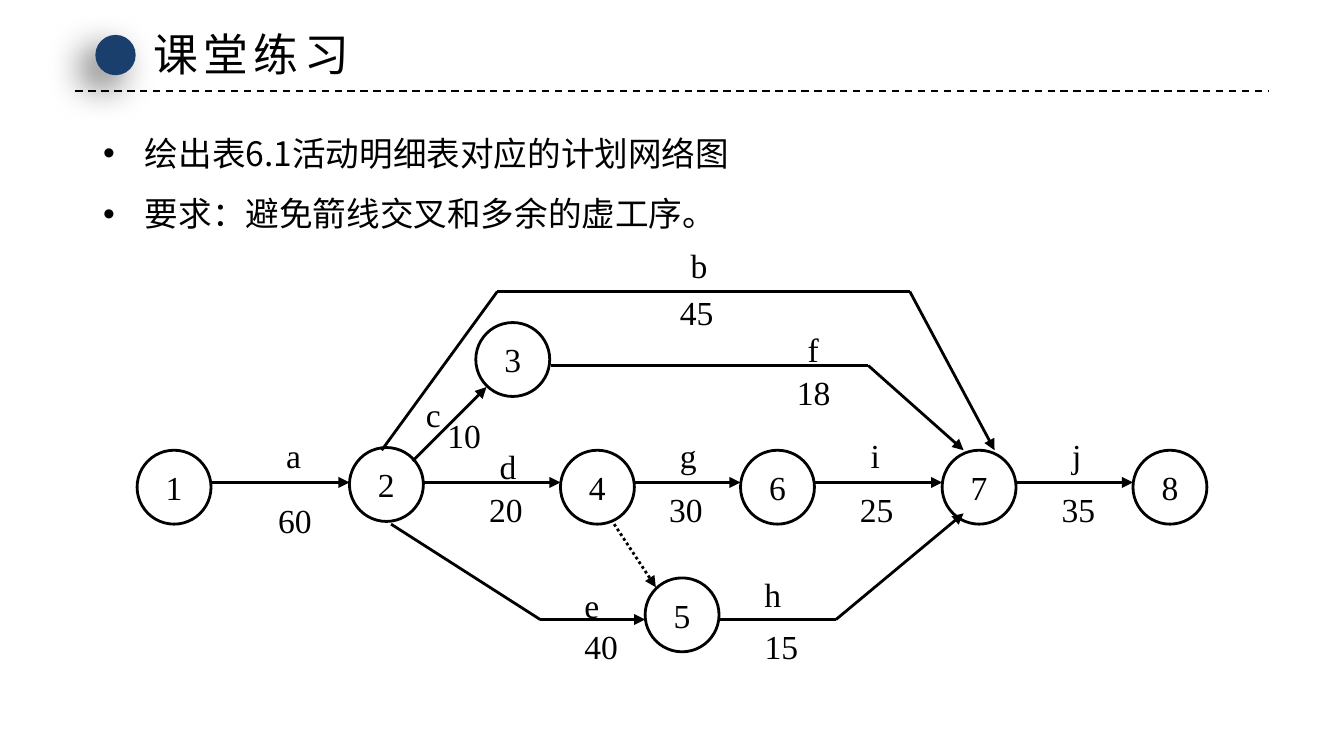
from dataclasses import dataclass
from itertools import pairwise

import pptx
import pptx.dml.color
import pptx.enum.dml
import pptx.enum.shapes
import pptx.enum.text
import pptx.oxml.ns
import pptx.util
from lxml import etree

PX = 9144  # EMU per px: 100 px to the inch
qn = pptx.oxml.ns.qn
DASH = pptx.enum.dml.MSO_LINE
OVAL = pptx.enum.shapes.MSO_SHAPE.OVAL
STRAIGHT = pptx.enum.shapes.MSO_CONNECTOR.STRAIGHT
ALIGN = pptx.enum.text.PP_ALIGN
ANCHOR = pptx.enum.text.MSO_ANCHOR
FIT = pptx.enum.text.MSO_AUTO_SIZE.SHAPE_TO_FIT_TEXT


@dataclass(frozen=True)
class Theme:
    ink: str = "000000"
    accent: str = "1A3F6C"
    heading_font: str = "Noto Sans CJK SC"
    diagram_font: str = "Times New Roman"
    title_size: int = 24
    body_size: int = 18
    rule_width: float = 1
    diagram_width: float = 1.5


THEME = Theme()
NODE = 55
ROW = 359

NODES = {  # number: left, top
    "1": (102, 335), "2": (260, 333), "3": (354, 240), "4": (417, 335),
    "5": (480, 430), "6": (551, 335), "7": (701, 335), "8": (843, 335),
}
ROUTES = [  # every route ends in an arrowhead
    [(157, ROW), (260, ROW)],
    [(284, 335), (370, 217), (677, 217), (740, 335)],
    [(307, 343), (362, 288)],
    [(315, ROW), (417, ROW)],
    [(291, 390), (402, 461), (480, 461)],
    [(410, 272), (646, 272), (717, 335)],
    [(472, ROW), (551, ROW)],
    [(535, 461), (622, 461), (717, 382)],
    [(606, ROW), (701, ROW)],
    [(756, ROW), (843, ROW)],
]
DUMMY_ROUTE = [(457, 390), (488, 437)]
ACTIVITIES = [  # name (left, top, width), duration (left, top)
    ("a", (203, 319, 31), "60", (197, 367)),
    ("b", (504, 177, 34), "45", (496, 212)),
    ("c", (307, 288, 33), "10", (323, 304)),
    ("d", (362, 327, 34), "20", (354, ROW)),
    ("e", (425, 430, 31), "40", (425, 461)),
    ("f", (591, 240, 29), "18", (583, 272)),
    ("g", (496, 319, 34), "30", (488, ROW)),
    ("h", (559, 422, 34), "15", (559, 461)),
    ("i", (638, 319, 27), "25", (630, ROW)),
    ("j", (788, 319, 27), "35", (780, ROW)),
]


def px(*lengths):
    return [pptx.util.Emu(length * PX) for length in lengths]


def rgb(color):
    return pptx.dml.color.RGBColor.from_string(color)


def set_font(paragraph, name, size, spacing=0):
    """Set Latin and East Asian typeface, size and letter spacing (points)."""
    font = paragraph.font
    font.size = pptx.util.Pt(size)
    font.color.rgb = rgb(THEME.ink)
    font.name = name
    properties = paragraph._p.get_or_add_pPr().get_or_add_defRPr()
    etree.SubElement(properties, qn("a:ea")).set("typeface", name)
    if spacing:
        properties.set("spc", str(spacing * 100))


def add_line(shapes, start, end, width, dash=None, arrow=False):
    line = shapes.add_connector(STRAIGHT, *px(*start, *end))
    line.line.color.rgb = rgb(THEME.ink)
    line.line.width = pptx.util.Pt(width)
    if dash:
        line.line.dash_style = dash
    if arrow:
        etree.SubElement(line.line._get_or_add_ln(), qn("a:tailEnd")).set("type", "triangle")
    etree.SubElement(line._element.spPr, qn("a:effectLst"))


def add_route(shapes, points, dash=None):
    for start, end in pairwise(points):
        add_line(shapes, start, end, THEME.diagram_width, dash, arrow=end == points[-1])


def add_node(shapes, number, left, top):
    node = shapes.add_shape(OVAL, *px(left, top, NODE, NODE))
    node.shadow.inherit = False
    node.fill.background()
    node.line.color.rgb = rgb(THEME.ink)
    node.line.width = pptx.util.Pt(THEME.diagram_width)
    frame = node.text_frame
    frame.word_wrap = False
    frame.vertical_anchor = ANCHOR.MIDDLE
    paragraph = frame.paragraphs[0]
    paragraph.text = number
    paragraph.alignment = ALIGN.CENTER
    set_font(paragraph, THEME.diagram_font, THEME.body_size)


def add_label(shapes, text, left, top, width=45):
    frame = shapes.add_textbox(*px(left, top, width, 40)).text_frame
    frame.word_wrap = False
    frame.auto_size = FIT
    paragraph = frame.paragraphs[0]
    paragraph.text = text
    set_font(paragraph, THEME.diagram_font, THEME.body_size)


def add_title_dot(shapes):
    dot = shapes.add_shape(OVAL, *px(71, 26, 30, 30))
    dot.fill.solid()
    dot.fill.fore_color.rgb = rgb(THEME.accent)
    dot.line.fill.background()
    dot.shadow.inherit = False
    effects = dot._element.spPr.find(qn("a:effectLst"))
    shadow = etree.SubElement(
        effects, qn("a:outerShdw"), blurRad=str(pptx.util.Pt(20)),
        dist=str(pptx.util.Pt(10)), dir=str(135 * 60000), algn="tr", rotWithShape="0")
    color = etree.SubElement(shadow, qn("a:srgbClr"), val=THEME.ink)
    etree.SubElement(color, qn("a:alpha"), val="60000")


def set_title(title, text):
    title.left, title.top, title.width, title.height = px(104, 15, 172, 50)
    frame = title.text_frame
    frame.word_wrap = False
    frame.auto_size = FIT
    frame.vertical_anchor = ANCHOR.TOP
    paragraph = frame.paragraphs[0]
    paragraph.text = text
    paragraph.alignment = ALIGN.LEFT
    set_font(paragraph, THEME.heading_font, THEME.title_size, spacing=3)


def add_bullets(shapes, lines):
    frame = shapes.add_textbox(*px(67, 79, 866, 97)).text_frame
    frame.word_wrap = True
    frame.auto_size = FIT
    for index, line in enumerate(lines):
        paragraph = frame.add_paragraph() if index else frame.paragraphs[0]
        paragraph.text = line
        paragraph.alignment = ALIGN.JUSTIFY
        paragraph.line_spacing = 1.5
        properties = paragraph._p.get_or_add_pPr()
        indent = 31 * PX
        properties.set("marL", str(indent))
        properties.set("indent", str(-indent))
        etree.SubElement(properties, qn("a:buFont")).set("typeface", "Arial")
        etree.SubElement(properties, qn("a:buChar")).set("char", "•")
        set_font(paragraph, THEME.heading_font, THEME.body_size)


def add_network(shapes):
    network = shapes.add_group_shape().shapes
    for number, place in NODES.items():
        add_node(network, number, *place)
    for route in ROUTES:
        add_route(network, route)
    add_route(network, DUMMY_ROUTE, DASH.ROUND_DOT)
    for name, name_place, duration, duration_place in ACTIVITIES:
        add_label(network, name, *name_place)
        add_label(network, duration, *duration_place)


def main():
    presentation = pptx.Presentation()
    presentation.slide_width = pptx.util.Inches(10)
    presentation.slide_height = presentation.slide_width * 9 // 16
    slide = presentation.slides.add_slide(presentation.slide_layouts[5])
    set_title(slide.shapes.title, "课堂练习")
    add_line(slide.shapes, (56, 68), (944, 68), THEME.rule_width, DASH.DASH)
    add_title_dot(slide.shapes)
    add_bullets(slide.shapes, ["绘出表6.1活动明细表对应的计划网络图",
                               "要求：避免箭线交叉和多余的虚工序。"])
    add_network(slide.shapes)
    presentation.save("out.pptx")


if __name__ == "__main__":
    main()
